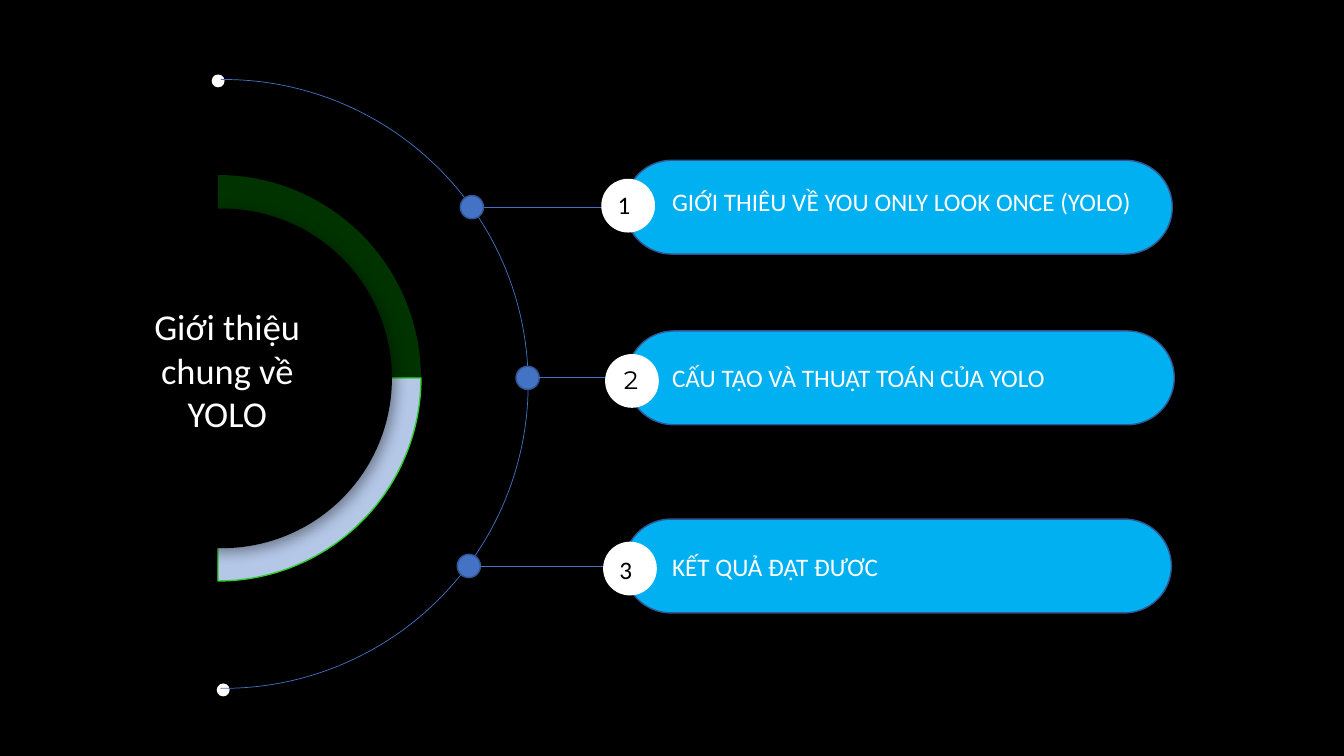
"""Build the agenda slide: a half ring with a title and three numbered topics."""
from dataclasses import dataclass
from math import cos, radians, sin
from typing import Optional

from lxml.etree import SubElement
from pptx import Presentation
from pptx.dml.color import RGBColor
from pptx.enum.shapes import MSO_CONNECTOR, MSO_SHAPE
from pptx.enum.text import MSO_AUTO_SIZE, PP_ALIGN
from pptx.oxml.ns import qn
from pptx.util import Pt


@dataclass(frozen=True)
class Theme:
    black: str = "000000"
    white: str = "FFFFFF"
    blue: str = "4472C4"
    edge: str = "325491"
    pill: str = "00B0F0"
    ring_top: str = "003300"
    ring_low: str = "B4C7E7"
    ring_edge: str = "33CC33"
    font: str = "Calibri"
    title_size: float = 26
    body_size: float = 18


@dataclass(frozen=True)
class Topic:
    number: str
    label: str
    pill_x: float
    pill_y: float
    dot_x: float
    badge_x: float
    badge_y: float
    label_y: float
    label_w: float
    num_x: float
    num_y: float
    num_font: str = "Calibri"


@dataclass(frozen=True)
class Sector:
    start: float
    fill: str
    line: Optional[str] = None


T = Theme()
PILL_W, PILL_H, DOT, BADGE, TEXT_H = 391, 67, 16.6, 37.4, 29
LABEL_X = 473
RING_X, RING_Y, RING_R, HOLE = 155.7, 270, 145, 242.6
ARC_X, ARC_Y, ARC_D = -57.6, 56.8, 434.9
END_DOT = 9.2
END_DOTS = [(151.2, 53.2), (154.8, 488.2)]
SECTORS = [Sector(-90, T.ring_top), Sector(0, T.ring_low, T.ring_edge)]
TOPICS = [
    Topic("1", "GIỚI THIÊU VỀ YOU ONLY LOOK ONCE (YOLO)",
          446.4, 114.5, 328.8, 430, 128.2, 129.6, 391, 434, 131.8),
    Topic("2", "CẤU TẠO VÀ THUẬT TOÁN CỦA YOLO",
          447.8, 236.4, 368.6, 432.7, 253.4, 254.9, 319, 438.5, 257, "Montserrat"),
    Topic("3", "KẾT QUẢ ĐẠT ĐƯƠC",
          445.7, 370.8, 326.6, 431.3, 387.4, 390.2, 319, 435.3, 392.4),
]


def paint(sp, fill: Optional[str], line: Optional[str], width: float = 1):
    """Set the fill and outline of a shape and remove its shadow."""
    sp.shadow.inherit = False
    if fill:
        sp.fill.solid()
        sp.fill.fore_color.rgb = RGBColor.from_string(fill)
    else:
        sp.fill.background()
    if line:
        sp.line.color.rgb = RGBColor.from_string(line)
        sp.line.width = Pt(width)
    else:
        sp.line.fill.background()
    return sp


def add_preset(s, kind: MSO_SHAPE, x: float, y: float, w: float, h: float, *,
               fill: Optional[str] = None, line: Optional[str] = None, width: float = 1):
    """Add a painted preset shape."""
    return paint(s.shapes.add_shape(kind, Pt(x), Pt(y), Pt(w), Pt(h)), fill, line, width)


def add_text(s, text: str, x: float, y: float, w: float, h: float = TEXT_H, *,
             size: float = T.body_size, color: str = T.white, font: str = T.font,
             align: PP_ALIGN = PP_ALIGN.LEFT) -> None:
    """Add a wrapping text box with one paragraph."""
    tf = s.shapes.add_textbox(Pt(x), Pt(y), Pt(w), Pt(h)).text_frame
    tf.word_wrap = True
    tf.auto_size = MSO_AUTO_SIZE.SHAPE_TO_FIT_TEXT
    p = tf.paragraphs[0]
    p.alignment = align
    r = p.add_run()
    r.text = text
    r.font.size, r.font.name = Pt(size), font
    r.font.color.rgb = RGBColor.from_string(color)


def add_sector(s, sector: Sector) -> None:
    """Add a quarter disc around the ring centre."""
    angles = [radians(sector.start + 1.5 * i) for i in range(61)]
    arc = [(Pt(RING_X + RING_R * cos(a)), Pt(RING_Y + RING_R * sin(a))) for a in angles]
    fb = s.shapes.build_freeform(Pt(RING_X), Pt(RING_Y))
    fb.add_line_segments(arc, close=True)
    paint(fb.convert_to_shape(), sector.fill, sector.line)


def add_shadow(sp) -> None:
    """Give a shape a soft shadow toward the lower right."""
    effects = sp.element.spPr.find(qn("a:effectLst"))
    shadow = SubElement(effects, qn("a:outerShdw"), blurRad=str(Pt(10)), dist=str(Pt(3)),
                        dir="2700000", algn="tl", rotWithShape="0")
    color = SubElement(shadow, qn("a:srgbClr"), val=T.black)
    SubElement(color, qn("a:alpha"), val="40000")


def add_topic(s, topic: Topic) -> None:
    """Add a dot on the arc, its line, the pill, the badge and the texts."""
    mid = topic.pill_y + PILL_H / 2
    add_preset(s, MSO_SHAPE.OVAL, topic.dot_x, mid - DOT / 2, DOT, DOT, fill=T.blue, line=T.edge)
    pill = add_preset(s, MSO_SHAPE.ROUNDED_RECTANGLE, topic.pill_x, topic.pill_y,
                      PILL_W, PILL_H, fill=T.pill, line=T.edge)
    pill.adjustments[0] = 0.5
    cx = s.shapes.add_connector(MSO_CONNECTOR.STRAIGHT, Pt(topic.dot_x + DOT), Pt(mid),
                                Pt(topic.pill_x), Pt(mid))
    cx.end_connect(pill, 1)
    cx.line.color.rgb = RGBColor.from_string(T.blue)
    cx.line.width = Pt(0.5)
    SubElement(cx.element.spPr, qn("a:effectLst"))
    add_preset(s, MSO_SHAPE.OVAL, topic.badge_x, topic.badge_y, BADGE, BADGE,
               fill=T.white, line=T.white)
    add_text(s, topic.label, LABEL_X, topic.label_y, topic.label_w)
    add_text(s, topic.number, topic.num_x, topic.num_y, TEXT_H, color=T.black,
             font=topic.num_font)


def main() -> None:
    """Draw the slide and save it."""
    prs = Presentation()
    prs.slide_width, prs.slide_height = Pt(960), Pt(540)
    s = prs.slides.add_slide(prs.slide_layouts[6])
    s.background.fill.solid()
    s.background.fill.fore_color.rgb = RGBColor.from_string(T.black)
    for x, y in END_DOTS:
        add_preset(s, MSO_SHAPE.OVAL, x, y, END_DOT, END_DOT, fill=T.white)
    arc = add_preset(s, MSO_SHAPE.ARC, ARC_X, ARC_Y, ARC_D, ARC_D, line=T.blue, width=0.5)
    arc.adjustments[0], arc.adjustments[1] = 161.67, 54.37
    for topic in TOPICS:
        add_topic(s, topic)
    for sector in SECTORS:
        add_sector(s, sector)
    add_shadow(add_preset(s, MSO_SHAPE.OVAL, 37.4, 149, HOLE, HOLE, fill=T.black))
    add_text(s, "Giới thiệu chung về YOLO", 89.3, 213.8, 146.2, 101.5,
             size=T.title_size, align=PP_ALIGN.CENTER)
    prs.save("out.pptx")


if __name__ == "__main__":
    main()
